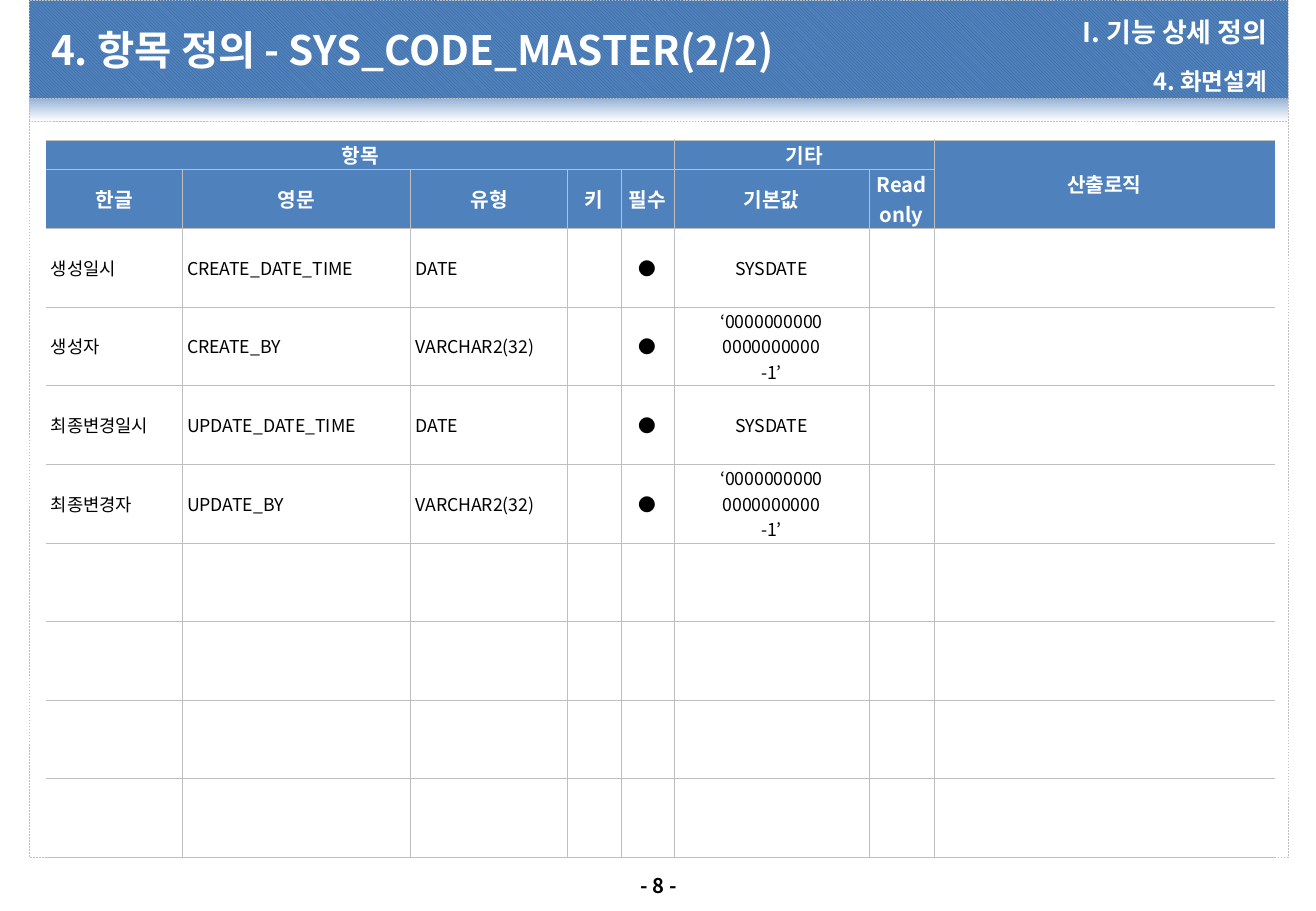
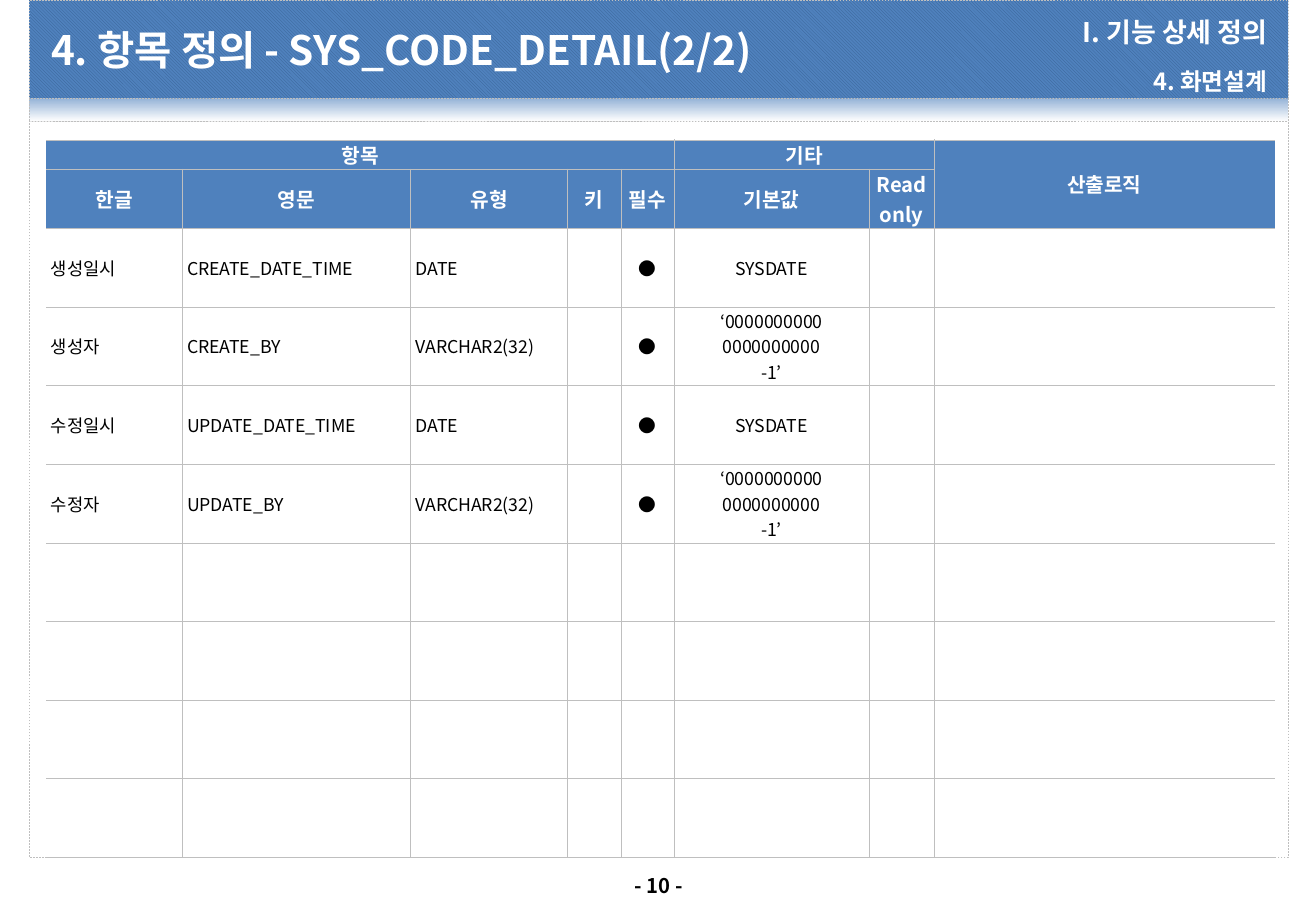
from pptx import Presentation
from pptx import util as u
from pptx.dml.color import RGBColor
from pptx.enum import dml, shapes, text
from pptx.oxml import parse_xml
from pptx.oxml.ns import nsdecls

# Content
FONT = "Noto Sans CJK KR"
HEX = dict(blue="4F81BD", navy="376092", sky="95B3D7",
           gray="BFBFBF", white="FFFFFF", black="000000")
PART = "I. 기능 상세 정의"
TOPIC = "4. 화면설계"
HEAD = ["한글", "영문", "유형", "키", "필수", "기본값", "Read only"]
GROUPS = [("항목", (0, 0), (0, 4)), ("기타", (0, 5), (0, 6)),
          ("산출로직", (0, 7), (1, 7))]
ZERO = "‘0000000000\n0000000000\n-1’"
FIELDS = [("CREATE_DATE_TIME", "DATE", "SYSDATE"),
          ("CREATE_BY", "VARCHAR2(32)", ZERO),
          ("UPDATE_DATE_TIME", "DATE", "SYSDATE"),
          ("UPDATE_BY", "VARCHAR2(32)", ZERO)]
PAGES = [
    ("SYS_CODE_MASTER", 8, ["생성일시", "생성자", "최종변경일시", "최종변경자"]),
    ("SYS_CODE_DETAIL", 10, ["생성일시", "생성자", "수정일시", "수정자"]),
]

# Layout
LEFT, WIDE = 0.24, 10.36
BODY, END = 1, 7.06  # page body, top and bottom
TOP = 1.15  # table top
COLS = [1.12, 1.88, 1.29, 0.44, 0.44, 1.6, 0.54, 2.8]
HEADS = [0.24, 0.49]  # one and two lines of 12 pt
COUNT = 8
ROWS = HEADS + [(END - TOP - sum(HEADS)) / COUNT] * COUNT
MIDS = (4, 5)  # centred body columns

ALIGN = text.PP_ALIGN
MID = text.MSO_ANCHOR.MIDDLE


def rgb(name):
    return RGBColor.from_string(HEX[name])


def box(at):
    return [u.Inches(n) for n in at]


# Text
def add_run(para, words, size, color, bold):
    run = para.add_run()
    run.text = words
    font = run.font
    font.size, font.bold, font.name = u.Pt(size), bold, FONT
    font.color.rgb = rgb(color)
    run._r.get_or_add_rPr().append(
        parse_xml(f'<a:ea {nsdecls("a")} typeface="{FONT}"/>'))


def add_label(slide, at, words, size, align, color="white", pad=0.04):
    frame = slide.shapes.add_textbox(*box(at)).text_frame
    frame.word_wrap, frame.vertical_anchor = True, MID
    frame.margin_left = frame.margin_right = u.Inches(pad)
    frame.margin_top = frame.margin_bottom = u.Inches(0.04)
    para = frame.paragraphs[0]
    para.alignment = align
    add_run(para, words, size, color, True)
    return frame


# Frame shared by the slides
def add_band(slide, top, high):
    band = slide.shapes.add_shape(shapes.MSO_SHAPE.RECTANGLE,
                                  *box((LEFT, top, WIDE, high)))
    band.shadow.inherit = False
    band.line.color.rgb = rgb("gray")
    band.line.width = u.Pt(0.25)
    band.line.dash_style = dml.MSO_LINE.DASH
    return band


def add_frame(slide, name, page):
    fade = add_band(slide, 0.81, 0.19).fill
    fade.gradient()
    fade.gradient_angle = 270
    for stop, color, pos in zip(fade.gradient_stops, ("sky", "white"), (0, 1)):
        stop.color.rgb, stop.position = rgb(color), pos

    body = add_band(slide, BODY, END - BODY).fill
    body.solid()
    body.fore_color.rgb = rgb("white")

    foot = add_label(slide, (5.08, 7.14, 0.68, 0.3), f"- {page} -", 12,
                     ALIGN.CENTER, "black", 0.1)
    foot.word_wrap = False

    top = add_band(slide, 0, 0.81)
    top.rotation = 180
    top.fill.patterned()
    top.fill.pattern = dml.MSO_PATTERN.LIGHT_DOWNWARD_DIAGONAL
    top.fill.fore_color.rgb, top.fill.back_color.rgb = rgb("navy"), rgb("blue")

    add_label(slide, (7.07, 0.08, 3.4, 0.37), PART, 16, ALIGN.RIGHT)
    add_label(slide, (0.38, 0.08, 6.69, 0.66),
              f"4. 항목 정의 - {name}(2/2)", 24, ALIGN.LEFT)
    topic = add_label(slide, (7.07, 0.47, 3.4, 0.27), TOPIC, 14, ALIGN.RIGHT)
    para = topic.paragraphs[0]
    para.line_spacing = 1.5
    para.space_before = para.space_after = u.Pt(2.8)


# Table
def set_edges(cell, col):
    shown = dict(L=col > 0, R=col < len(COLS) - 1, T=True, B=True)
    props = cell._tc.get_or_add_tcPr()
    for n, (side, on) in enumerate(shown.items()):
        paint = (f'<a:solidFill><a:srgbClr val="{HEX["gray"]}"/></a:solidFill>'
                 if on else "<a:noFill/>")
        props.insert(n, parse_xml(
            f'<a:ln{side} {nsdecls("a")} w="3175">{paint}</a:ln{side}>'))


def fill_cell(cell, words, size, color, bold, align):
    frame = cell.text_frame
    for n, line in enumerate(words.split("\n")):
        para = frame.add_paragraph() if n else frame.paragraphs[0]
        para.alignment = align
        add_run(para, line, size, color, bold)


def add_grid(slide, names):
    at = (0.38, TOP, sum(COLS), sum(ROWS))
    grid = slide.shapes.add_table(len(ROWS), len(COLS), *box(at)).table
    grid.first_row = grid.horz_banding = False
    for col, wide in zip(grid.columns, COLS):
        col.width = u.Inches(wide)
    for row, high in zip(grid.rows, ROWS):
        row.height = u.Inches(high)

    for r in range(len(ROWS)):
        for c in range(len(COLS)):
            cell = grid.cell(r, c)
            cell.fill.solid()
            cell.fill.fore_color.rgb = rgb("blue" if r < len(HEADS) else "white")
            cell.vertical_anchor = MID
            cell.margin_left = cell.margin_right = u.Inches(0.04)
            cell.margin_top = cell.margin_bottom = 0
            set_edges(cell, c)

    heads = [(words, start) for words, start, _ in GROUPS]
    heads += [(words, (1, c)) for c, words in enumerate(HEAD)]
    for _, start, end in GROUPS:
        grid.cell(*start).merge(grid.cell(*end))
    for words, spot in heads:
        fill_cell(grid.cell(*spot), words, 12, "white", True, ALIGN.CENTER)

    lines = zip(names, FIELDS)
    for r, (name, (field, kind, value)) in enumerate(lines, len(HEADS)):
        for c, words in enumerate((name, field, kind, "", "●", value)):
            if words:
                align = ALIGN.CENTER if c in MIDS else ALIGN.LEFT
                fill_cell(grid.cell(r, c), words, 10.5, "black", False, align)


# Slides
deck = Presentation()
deck.slide_width, deck.slide_height = u.Inches(10.83), u.Inches(7.5)
for name, page, names in PAGES:
    slide = deck.slides.add_slide(deck.slide_layouts[6])
    add_frame(slide, name, page)
    add_grid(slide, names)
deck.save("out.pptx")
